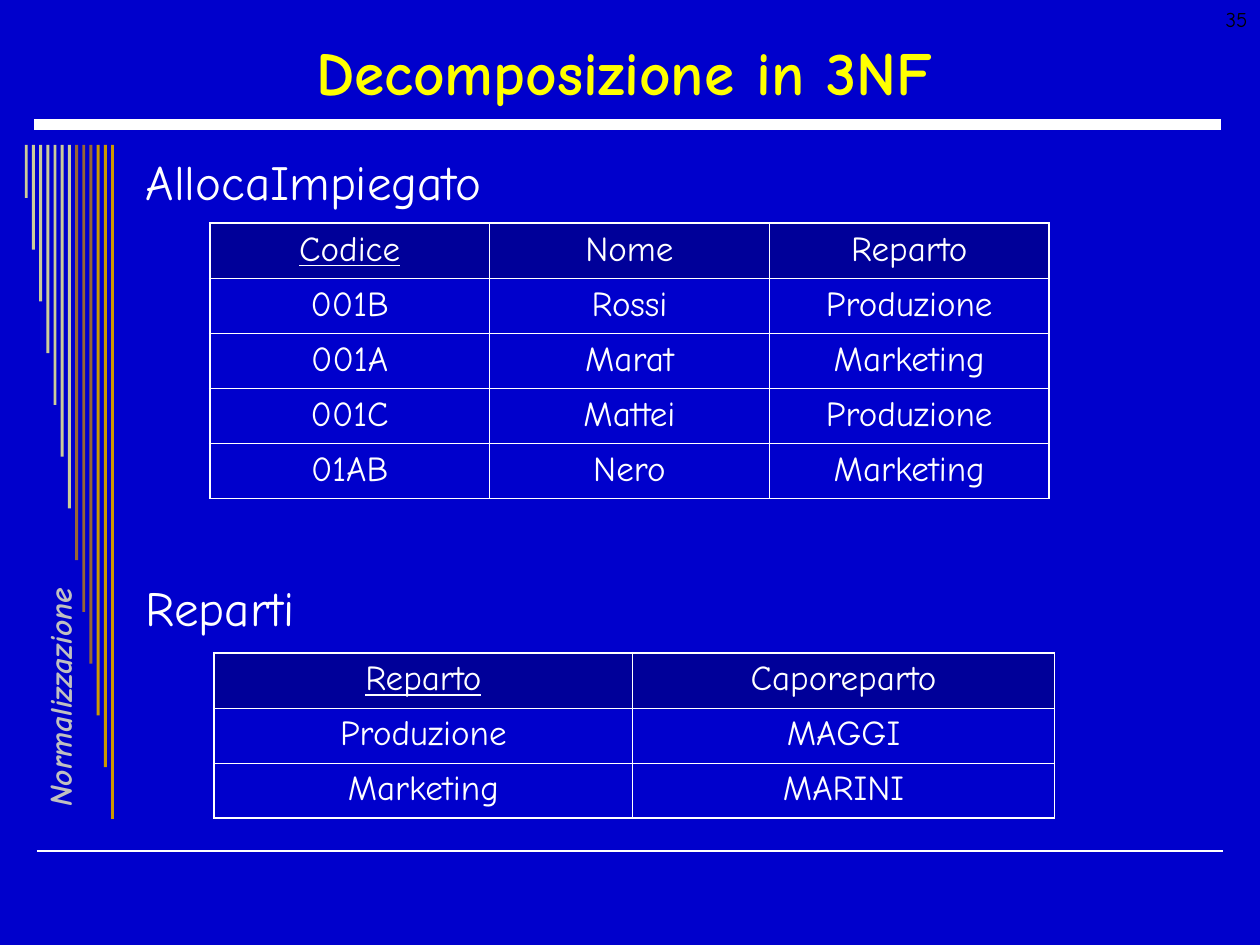
from lxml.etree import SubElement
from pptx import Presentation
from pptx.dml.color import RGBColor
from pptx.enum.shapes import MSO_CONNECTOR, MSO_SHAPE
from pptx.enum.text import MSO_ANCHOR as ANCHOR, PP_ALIGN as ALIGN
from pptx.oxml.ns import qn
from pptx.util import Cm, Pt

FONT = "Comic Neue"
BLUE = RGBColor(0x00, 0x00, 0xCC)
NAVY = RGBColor(0x00, 0x00, 0x99)
WHITE = RGBColor(0xFF, 0xFF, 0xFF)
YELLOW = RGBColor(0xFF, 0xFF, 0x00)
BLACK = RGBColor(0x00, 0x00, 0x00)
SILVER = RGBColor(0xC0, 0xC0, 0xC0)
SAND = RGBColor(0xCC, 0xCC, 0x99)
BROWN = RGBColor(0x99, 0x66, 0x33)
GOLD = RGBColor(0xCC, 0x99, 0x00)

# Content; lengths in cm, sizes in points
TITLE = "Decomposizione in 3NF"
SECTION = "Normalizzazione"
PAGE = "35"
HEADINGS = [("AllocaImpiegato", 0), ("Reparti", 210)]  # text, space before
TABLES = [
    dict(left=4.23, top=4.5, widths=[5.64, 5.64, 5.64], bottom=0.45, rows=[
        ("Codice", "Nome", "Reparto"),
        ("001B", "Rossi", "Produzione"),
        ("001A", "Marat", "Marketing"),
        ("001C", "Mattei", "Produzione"),
        ("01AB", "Nero", "Marketing"),
    ]),
    dict(left=4.32, top=13.16, widths=[8.43, 8.51], bottom=1.08, rows=[
        ("Reparto", "Caporeparto"),
        ("Produzione", "MAGGI"),
        ("Marketing", "MARINI"),
    ]),
]
RULES = [(0.69, 24.61, 2.51, 6), (0.74, 24.66, 17.15, 1)]  # x1, x2, y, weight
BAR_COLORS = [SAND] * 7 + [BROWN] * 3 + [GOLD] * 3
BAR_TOP, BAR_WIDTH = 2.92, 0.06
BAR_LEFTS, BAR_HEIGHTS = (0.5, 2.24), (1.07, 13.59)  # first and last bar
ROW_HEIGHT = 1.11
OUTER, INNER = 1.08, 0.45

prs = Presentation()
prs.slide_width, prs.slide_height = Cm(25.4), Cm(19.05)
s = prs.slides.add_slide(prs.slide_layouts[6])
s.background.fill.solid()
s.background.fill.fore_color.rgb = BLUE


def write(p, text, color, align=ALIGN.LEFT, **formats):
    p.alignment = align
    r = p.add_run()
    r.text = text
    r.font.name = FONT
    r.font.color.rgb = color
    for name, value in formats.items():
        setattr(r.font, name, value)


def text_box(left, top, width, height, anchor=ANCHOR.TOP, wrap=True):
    sp = s.shapes.add_textbox(Cm(left), Cm(top), Cm(width), Cm(height))
    sp.text_frame.word_wrap = wrap
    sp.text_frame.vertical_anchor = anchor
    return sp


def set_borders(cell, weights):
    for side, weight in weights.items():
        ln = SubElement(cell._tc.get_or_add_tcPr(), qn(f"a:ln{side}"), w=str(Pt(weight)))
        fill = SubElement(ln, qn("a:solidFill"))
        SubElement(fill, qn("a:srgbClr"), val=str(WHITE))


def add_table(left, top, widths, bottom, rows):
    last_row, last_col = len(rows) - 1, len(widths) - 1
    table = s.shapes.add_table(len(rows), len(widths), Cm(left), Cm(top),
                               Cm(sum(widths)), Cm(ROW_HEIGHT * len(rows))).table
    table.first_row = table.horz_banding = False
    for column, width in zip(table.columns, widths):
        column.width = Cm(width)
    for i, row in enumerate(rows):
        table.rows[i].height = Cm(ROW_HEIGHT)
        for j, text in enumerate(row):
            cell = table.cell(i, j)
            set_borders(cell, {
                "L": OUTER if j == 0 else INNER,
                "R": OUTER if j == last_col else INNER,
                "T": OUTER if i == 0 else INNER,
                "B": bottom if i == last_row else INNER,
            })
            if i == 0:
                cell.fill.solid()
                cell.fill.fore_color.rgb = NAVY
            else:
                cell.fill.background()
            # The key column is underlined in the header
            write(cell.text_frame.paragraphs[0], text, WHITE, ALIGN.CENTER,
                  size=Pt(20), underline=i == 0 and j == 0)


# Horizontal rules
for x1, x2, y, weight in RULES:
    line = s.shapes.add_connector(MSO_CONNECTOR.STRAIGHT, Cm(x1), Cm(y), Cm(x2), Cm(y))
    line.line.color.rgb = WHITE
    line.line.width = Pt(weight)
    SubElement(line._element.spPr, qn("a:effectLst"))

# Hanging bars, evenly spaced and growing evenly
for i, color in enumerate(BAR_COLORS):
    left, height = (first + (last - first) * i / (len(BAR_COLORS) - 1)
                    for first, last in (BAR_LEFTS, BAR_HEIGHTS))
    bar = s.shapes.add_shape(MSO_SHAPE.RECTANGLE, Cm(left), Cm(BAR_TOP),
                             Cm(BAR_WIDTH), Cm(height))
    bar.shadow.inherit = False
    bar.fill.solid()
    bar.fill.fore_color.rgb = color
    bar.line.fill.background()

# Section label, reading upwards
sp = text_box(-1.9, 13.31, 5.79, 0.61, wrap=False)
sp.rotation = 270
write(sp.text_frame.paragraphs[0], SECTION, SILVER, size=Pt(18), bold=True, italic=True)

# Title
sp = text_box(0.89, 0.53, 23.39, 1.8, ANCHOR.MIDDLE)
write(sp.text_frame.paragraphs[0], TITLE, YELLOW, ALIGN.CENTER, size=Pt(35), bold=True)

# Table headings
tf = text_box(2.69, 2.92, 21.64, 14).text_frame
for i, (text, before) in enumerate(HEADINGS):
    p = tf.add_paragraph() if i else tf.paragraphs[0]
    if before:
        p.space_before = Pt(before)
    write(p, text, WHITE, size=Pt(28))

# Tables
for spec_table in TABLES:
    add_table(**spec_table)

# Page number
sp = text_box(19.48, 0, 5.92, 1.27)
write(sp.text_frame.paragraphs[0], PAGE, BLACK, ALIGN.RIGHT, size=Pt(12))

prs.save("out.pptx")
